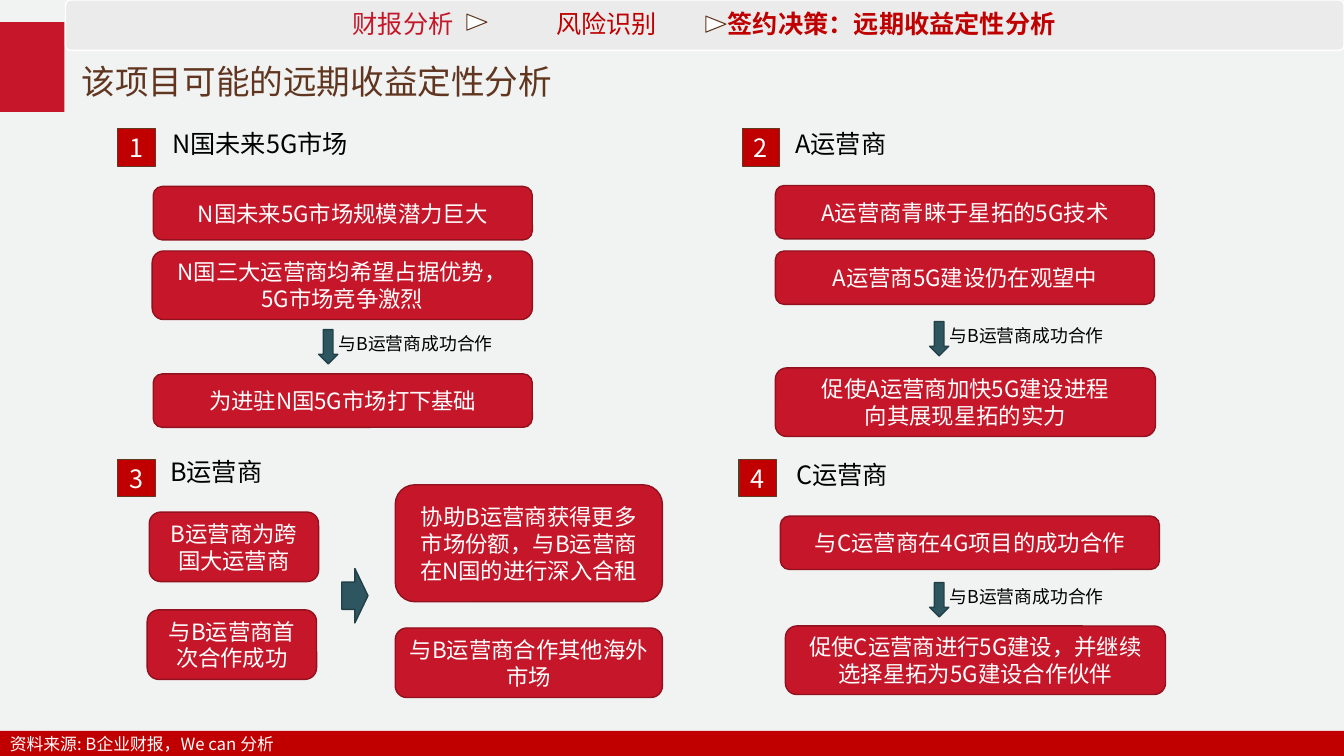
from lxml.etree import SubElement
from pptx import Presentation
from pptx.dml.color import RGBColor
from pptx.enum.shapes import MSO_SHAPE
from pptx.enum.text import MSO_ANCHOR, PP_ALIGN
from pptx.oxml.ns import qn
from pptx.util import Inches, Pt

COLORS = {
    "background": "F1F3F2", "crimson": "C51729", "crimson_edge": "92111E",
    "red": "C00000", "brown": "613620", "brown_edge": "613920",
    "teal": "2E5660", "teal_edge": "224047", "grey": "EBEBEB",
    "white": "FFFFFF", "black": "000000",
}
FONT = "Noto Sans CJK SC"
PARTNERSHIP = "与B运营商成功合作"

STEPS = [
    ("财报分析", 3.4, 1.3, "crimson", False),
    ("风险识别", 5.42, 1.3, "red", False),
    ("签约决策：远期收益定性分析", 7.12, 3.7, "red", True),
]
STEP_MARKERS = [(4.65, 0.12), (7.02, 0.14)]
SECTIONS = [
    ("1", 1.17, 1.28, "N国未来5G市场", 1.61, 1.22),
    ("2", 7.36, 1.28, "A运营商", 7.79, 1.22),
    ("3", 1.17, 4.56, "B运营商", 1.59, 4.48),
    ("4", 7.33, 4.56, "C运营商", 7.8, 4.51),
]
CARDS = [
    ("N国未来5G市场规模潜力巨大", 1.52, 1.85, 3.76, 0.53),
    ("N国三大运营商均希望占据优势，5G市场竞争激烈", 1.51, 2.49, 3.77, 0.68),
    ("为进驻N国5G市场打下基础", 1.52, 3.71, 3.76, 0.53),
    ("A运营商青睐于星拓的5G技术", 7.69, 1.84, 3.76, 0.53),
    ("A运营商5G建设仍在观望中", 7.69, 2.49, 3.76, 0.53),
    ("促使A运营商加快5G建设进程\n向其展现星拓的实力", 7.69, 3.65, 3.77, 0.68),
    ("B运营商为跨国大运营商", 1.48, 5.08, 1.68, 0.69),
    ("与B运营商首次合作成功", 1.46, 6.05, 1.68, 0.69),
    ("协助B运营商获得更多市场份额，与B运营商在N国的进行深入合租", 3.92, 4.81, 2.65, 1.16),
    ("与B运营商合作其他海外市场", 3.92, 6.23, 2.65, 0.69),
    ("与C运营商在4G项目的成功合作", 7.74, 5.12, 3.76, 0.53),
    ("促使C运营商进行5G建设，并继续选择星拓为5G建设合作伙伴", 7.79, 6.21, 3.77, 0.68),
]
PARTNERSHIP_ARROWS = [(3.16, 3.27), (9.22, 3.19), (9.22, 5.78)]


def color(name):
    return RGBColor.from_string(COLORS[name])


def write(frame, text, align=PP_ALIGN.LEFT, anchor=MSO_ANCHOR.TOP, spacing=None,
          size=16, ink="white", bold=False, font=FONT):
    frame.word_wrap = True
    frame.vertical_anchor = anchor
    for index, line in enumerate(text.split("\n")):
        paragraph = frame.add_paragraph() if index else frame.paragraphs[0]
        paragraph.alignment = align
        if spacing:
            paragraph.line_spacing = spacing
        run = paragraph.add_run()
        run.text = line
        run.font.size = Pt(size)
        run.font.bold = bold
        run.font.name = font
        run.font.color.rgb = color(ink)
        SubElement(run.font._element, qn("a:ea"), typeface=FONT)


class SlideBuilder:
    def __init__(self, presentation):
        self.slide = presentation.slides.add_slide(presentation.slide_layouts[5])
        self.slide.background.fill.solid()
        self.slide.background.fill.fore_color.rgb = color("background")

    def title(self, text, left, top, width, height):
        shape = self.slide.shapes.title
        shape.left, shape.top = Inches(left), Inches(top)
        shape.width, shape.height = Inches(width), Inches(height)
        write(shape.text_frame, text, anchor=MSO_ANCHOR.MIDDLE, spacing=0.9,
              size=24, ink="brown", font="Calibri")

    def shape(self, kind, left, top, width, height, fill, edge=None, weight=1):
        shape = self.slide.shapes.add_shape(
            kind, Inches(left), Inches(top), Inches(width), Inches(height))
        shape.shadow.inherit = False
        shape.fill.solid()
        shape.fill.fore_color.rgb = color(fill)
        if edge:
            shape.line.color.rgb = color(edge)
            shape.line.width = Pt(weight)
        else:
            shape.line.fill.background()
        return shape

    def label(self, text, left, top, width, height, ink="black", **style):
        box = self.slide.shapes.add_textbox(
            Inches(left), Inches(top), Inches(width), Inches(height))
        write(box.text_frame, text, ink=ink, **style)

    def card(self, text, left, top, width, height):
        shape = self.shape(MSO_SHAPE.ROUNDED_RECTANGLE, left, top, width, height,
                           "crimson", "crimson_edge")
        write(shape.text_frame, text, PP_ALIGN.CENTER, MSO_ANCHOR.MIDDLE)

    def section(self, number, left, top, heading, heading_left, heading_top):
        badge = self.shape(MSO_SHAPE.RECTANGLE, left, top, 0.37, 0.37,
                           "red", "brown_edge", 0.75)
        write(badge.text_frame, number, PP_ALIGN.CENTER, MSO_ANCHOR.MIDDLE, size=18)
        self.label(heading, heading_left, heading_top, 3.34, 0.4, size=18)

    def arrow(self, kind, left, top, width, height):
        self.shape(kind, left, top, width, height, "teal", "teal_edge")

    def partnership(self, left, top):
        self.arrow(MSO_SHAPE.DOWN_ARROW, left, top, 0.19, 0.34)
        self.label(PARTNERSHIP, left + 0.1, top - 0.02, 2.01, 0.31, size=12.7)

    def navigation(self):
        bar = self.shape(MSO_SHAPE.ROUNDED_RECTANGLE, 0.65, 0, 12.68, 0.5, "grey", "white")
        bar.adjustments[0] = 0.1
        for text, left, width, ink, bold in STEPS:
            self.label(text, left, 0.01, width, 0.48, ink=ink, bold=bold, size=18,
                       anchor=MSO_ANCHOR.MIDDLE, spacing=0.9)
        for left, top in STEP_MARKERS:
            marker = self.shape(MSO_SHAPE.ISOSCELES_TRIANGLE, left, top, 0.16, 0.2,
                                "white", "brown_edge", 0.75)
            marker.rotation = 90

    def footer(self, text):
        bar = self.shape(MSO_SHAPE.RECTANGLE, 0, 7.25, 13.33, 0.25, "red")
        write(bar.text_frame, text, anchor=MSO_ANCHOR.MIDDLE, size=12)


def main():
    presentation = Presentation()
    presentation.slide_width = Inches(13.33)
    presentation.slide_height = Inches(7.5)
    builder = SlideBuilder(presentation)
    builder.shape(MSO_SHAPE.RECTANGLE, 0, 0.22, 0.64, 0.89, "crimson")
    builder.title("该项目可能的远期收益定性分析", 0.71, 0.57, 7.08, 0.52)
    builder.navigation()
    for section in SECTIONS:
        builder.section(*section)
    for card in CARDS:
        builder.card(*card)
    for left, top in PARTNERSHIP_ARROWS:
        builder.partnership(left, top)
    builder.arrow(MSO_SHAPE.RIGHT_ARROW, 3.39, 5.64, 0.26, 0.54)
    builder.footer("资料来源: B企业财报，We can 分析")
    presentation.save("out.pptx")


if __name__ == "__main__":
    main()
